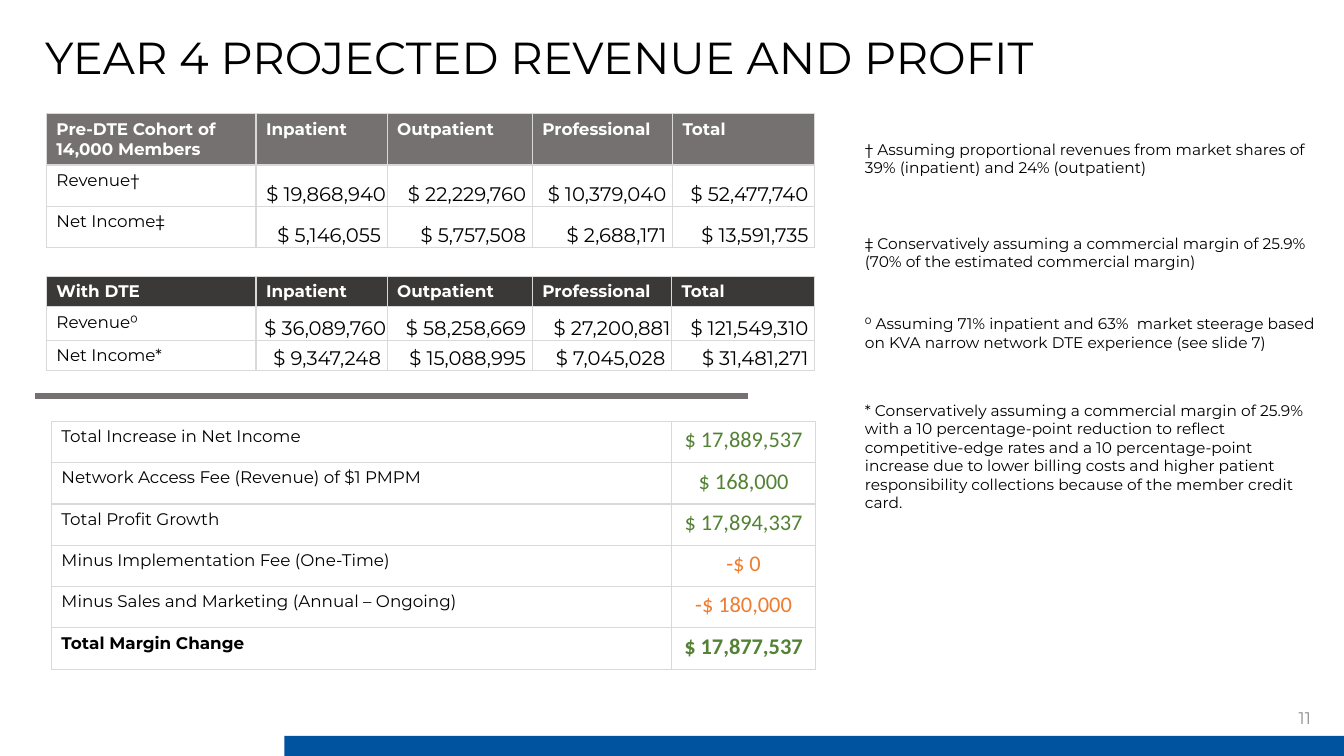
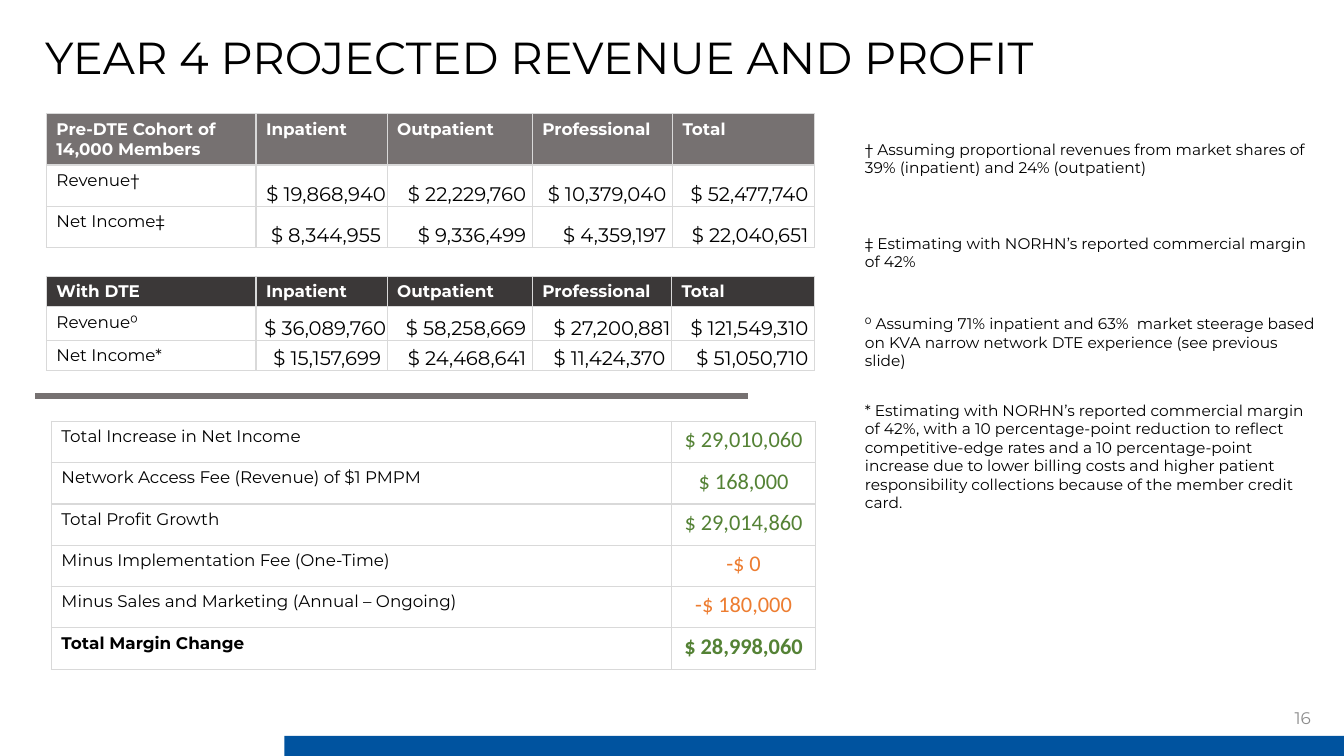
"""Build two slides of projected revenue and profit."""
from lxml.etree import SubElement
from pptx import Presentation
from pptx.dml.color import RGBColor
from pptx.enum.shapes import MSO_CONNECTOR, MSO_SHAPE
from pptx.enum.text import MSO_ANCHOR, PP_ALIGN
from pptx.oxml import parse_xml
from pptx.oxml.ns import nsdecls, qn
from pptx.util import Inches, Pt

hue = RGBColor.from_string
BLACK, WHITE, GRAY, DARK = "000000", "FFFFFF", "767171", "3B3838"
GREEN, ORANGE, BLUE, RULE, PALE = "548235", "ED7D31", "00539F", "D9D9D9", "8C8C8C"
LEFT, RIGHT, MID = PP_ALIGN.LEFT, PP_ALIGN.RIGHT, PP_ALIGN.CENTER

BODY = {"name": "Montserrat", "size": Pt(12), "bold": False}
BOLD = BODY | {"bold": True}
CASH = BODY | {"size": Pt(14)}
SUM = {"name": "Calibri", "size": Pt(16), "bold": False}
NOTE = BODY | {"size": Pt(11)}
TITLE = BODY | {"size": Pt(32)}

HEADS = ["Inpatient", "Outpatient", "Professional", "Total"]
TIGHT = ["$ 19,868,940", "$ 36,089,760", "$ 27,200,881"]
PRE = ["$ 19,868,940", "$ 22,229,760", "$ 10,379,040", "$ 52,477,740"]
POST = ["$ 36,089,760", "$ 58,258,669", "$ 27,200,881", "$ 121,549,310"]
ITEMS = [
    "Total Increase in Net Income",
    "Network Access Fee (Revenue) of $1 PMPM",
    "Total Profit Growth",
    "Minus Implementation Fee (One-Time)",
    "Minus Sales and Marketing (Annual – Ongoing)",
    "Total Margin Change",
]
SHARES = ("† Assuming proportional revenues from market shares of "
          "39% (inpatient) and 24% (outpatient)")
STEER = ("⁰ Assuming 71% inpatient and 63%  market steerage based on "
         "KVA narrow network DTE experience ")
RATES = ("with a 10 percentage-point reduction to reflect competitive-edge rates "
         "and a 10 percentage-point increase due to lower billing costs and higher "
         "patient responsibility collections because of the member credit card.")

YEARS = [
    {
        "page": "11",
        "pre": ["$ 5,146,055", "$ 5,757,508", "$ 2,688,171", "$ 13,591,735"],
        "post": ["$ 9,347,248", "$ 15,088,995", "$ 7,045,028", "$ 31,481,271"],
        "sums": ["$ 17,889,537", "$ 168,000", "$ 17,894,337",
                 "-$ 0", "-$ 180,000", "$ 17,877,537"],
        "notes": [
            SHARES,
            "‡ Conservatively assuming a commercial margin of 25.9% "
            "(70% of the estimated commercial margin)",
            STEER + "(see slide 7)",
            "* Conservatively assuming a commercial margin of 25.9% " + RATES,
        ],
    },
    {
        "page": "16",
        "pre": ["$ 8,344,955", "$ 9,336,499", "$ 4,359,197", "$ 22,040,651"],
        "post": ["$ 15,157,699", "$ 24,468,641", "$ 11,424,370", "$ 51,050,710"],
        "sums": ["$ 29,010,060", "$ 168,000", "$ 29,014,860",
                 "-$ 0", "-$ 180,000", "$ 28,998,060"],
        "notes": [
            SHARES,
            "‡ Estimating with NORHN’s reported commercial margin of 42%",
            STEER + "(see previous slide)",
            "* Estimating with NORHN’s reported commercial margin of 42%, " + RATES,
        ],
    },
]


def write(frame, text, look, color=BLACK, align=LEFT):
    """Put one styled paragraph in a text frame."""
    para = frame.paragraphs[0]
    para.alignment = align
    run = para.add_run()
    run.text = text
    for key, value in look.items():
        setattr(run.font, key, value)
    run.font.color.rgb = hue(color)


def grid(slide, left, top, cols, rows, cells):
    """Add a ruled table whose cells are (text, look, color, align, fill)."""
    table = slide.shapes.add_table(
        len(rows), len(cols), Inches(left), Inches(top),
        Inches(sum(cols)), Inches(sum(rows))).table
    table.first_row = table.horz_banding = False
    for col, width in zip(table.columns, cols):
        col.width = Inches(width)
    for row, height, line in zip(table.rows, rows, cells):
        row.height = Inches(height)
        for cell, (text, look, color, align, fill) in zip(row.cells, line):
            write(cell.text_frame, text, look, color, align)
            if fill:
                cell.fill.solid()
                cell.fill.fore_color.rgb = hue(fill)
            else:
                cell.fill.background()
            if align == RIGHT:
                cell.vertical_anchor = MSO_ANCHOR.BOTTOM
                cell.margin_left = cell.margin_top = Inches(0.01)
                cell.margin_right = Inches(0.01 if text in TIGHT else 0.06)
                cell.margin_bottom = 0
            props = cell._tc.get_or_add_tcPr()
            for spot, side in enumerate(["lnL", "lnR", "lnT", "lnB"]):
                props.insert(spot, parse_xml(
                    f'<a:{side} {nsdecls("a")} w="12700"><a:solidFill>'
                    f'<a:srgbClr val="{RULE}"/></a:solidFill></a:{side}>'))


deck = Presentation()
deck.slide_width, deck.slide_height = Inches(13.33), Inches(7.5)

for year in YEARS:
    slide = deck.slides.add_slide(deck.slide_layouts[6])

    blocks = [
        (1.13, [2.08, 1.3, 1.44, 1.39, 1.41], [0.5, 0.41, 0.41], GRAY,
         "Pre-DTE Cohort of 14,000 Members",
         [("Revenue†", PRE), ("Net Income‡", year["pre"])]),
        (2.74, [2.08, 1.3, 1.44, 1.38, 1.42], [0.3, 0.33, 0.3], DARK,
         "With DTE",
         [("Revenue⁰", POST), ("Net Income*", year["post"])]),
    ]
    for top, cols, rows, fill, head, lines in blocks:
        cells = [[(text, BOLD, WHITE, LEFT, fill) for text in [head] + HEADS]]
        for label, sums in lines:
            cells.append([(label, BODY, BLACK, LEFT, None)]
                         + [(text, CASH, BLACK, RIGHT, None) for text in sums])
        grid(slide, 0.46, top, cols, rows, cells)

    cells = []
    for item, text in zip(ITEMS, year["sums"]):
        bold = {"bold": item == ITEMS[-1]}
        color = ORANGE if text.startswith("-") else GREEN
        cells.append([(item, BODY | bold, BLACK, LEFT, None),
                      (text, SUM | bold, color, MID, None)])
    grid(slide, 0.51, 4.18, [6.15, 1.43], [0.41] * len(ITEMS), cells)

    rule = slide.shapes.add_connector(
        MSO_CONNECTOR.STRAIGHT, Inches(0.35), Inches(3.93), Inches(7.42), Inches(3.93))
    rule.line.color.rgb = hue(GRAY)
    rule.line.width = Pt(4.5)
    SubElement(rule._element.spPr, qn("a:effectLst"))

    band = slide.shapes.add_shape(
        MSO_SHAPE.RECTANGLE, Inches(2.82), Inches(7.3), Inches(10.51), Inches(0.2))
    band.shadow.inherit = False
    band.fill.solid()
    band.fill.fore_color.rgb = hue(BLUE)
    band.line.fill.background()

    texts = [
        (0.35, 0.25, 10.13, 0.64, "YEAR 4 PROJECTED REVENUE AND PROFIT",
         TITLE, BLACK, LEFT),
        (10.1, 6.99, 3, 0.27, year["page"], BODY, PALE, RIGHT),
    ]
    for top, high, note in zip([1.34, 2.27, 3.07, 3.93], [0.47, 0.47, 0.66, 1.21],
                               year["notes"]):
        texts.append((8.48, top, 4.72, high, note, NOTE, BLACK, LEFT))
    for left, top, wide, high, text, look, color, align in texts:
        frame = slide.shapes.add_textbox(
            Inches(left), Inches(top), Inches(wide), Inches(high)).text_frame
        frame.word_wrap = look is not TITLE
        if align == RIGHT:
            frame.vertical_anchor = MSO_ANCHOR.MIDDLE
        write(frame, text, look, color, align)

deck.save("out.pptx")
